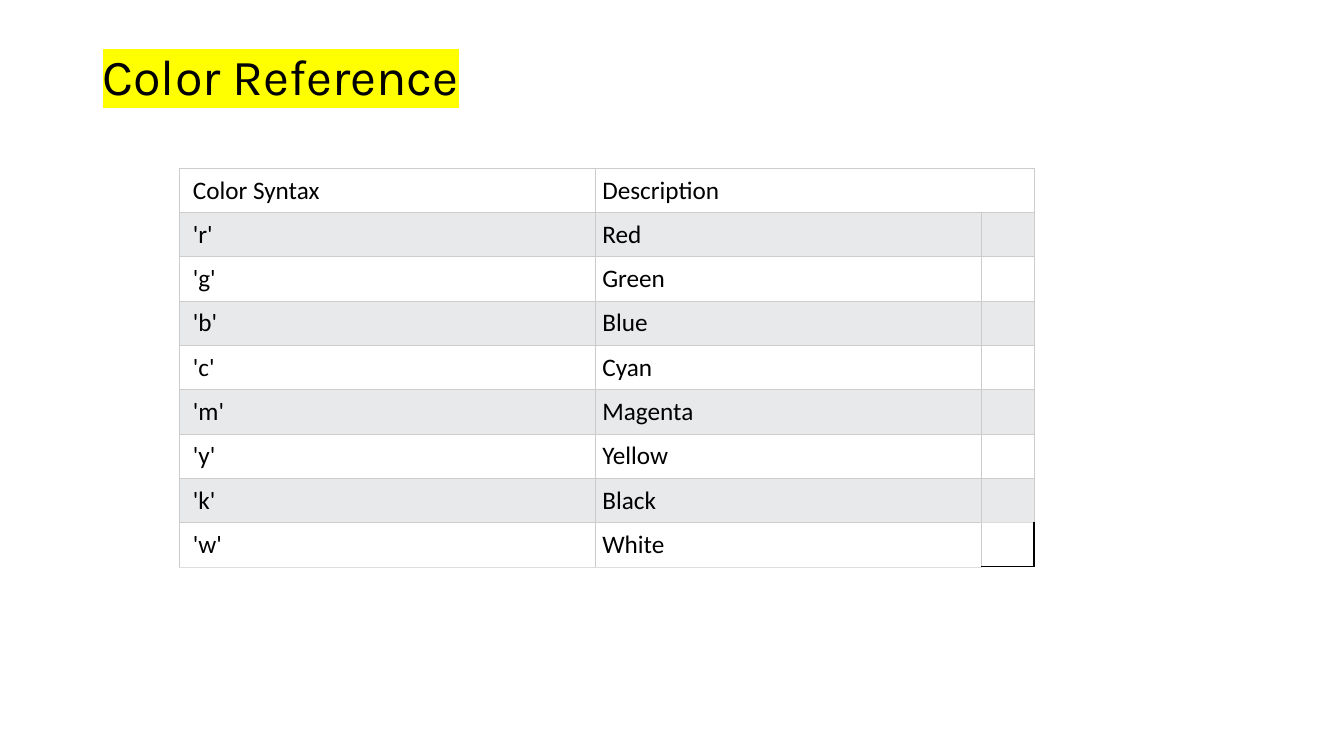
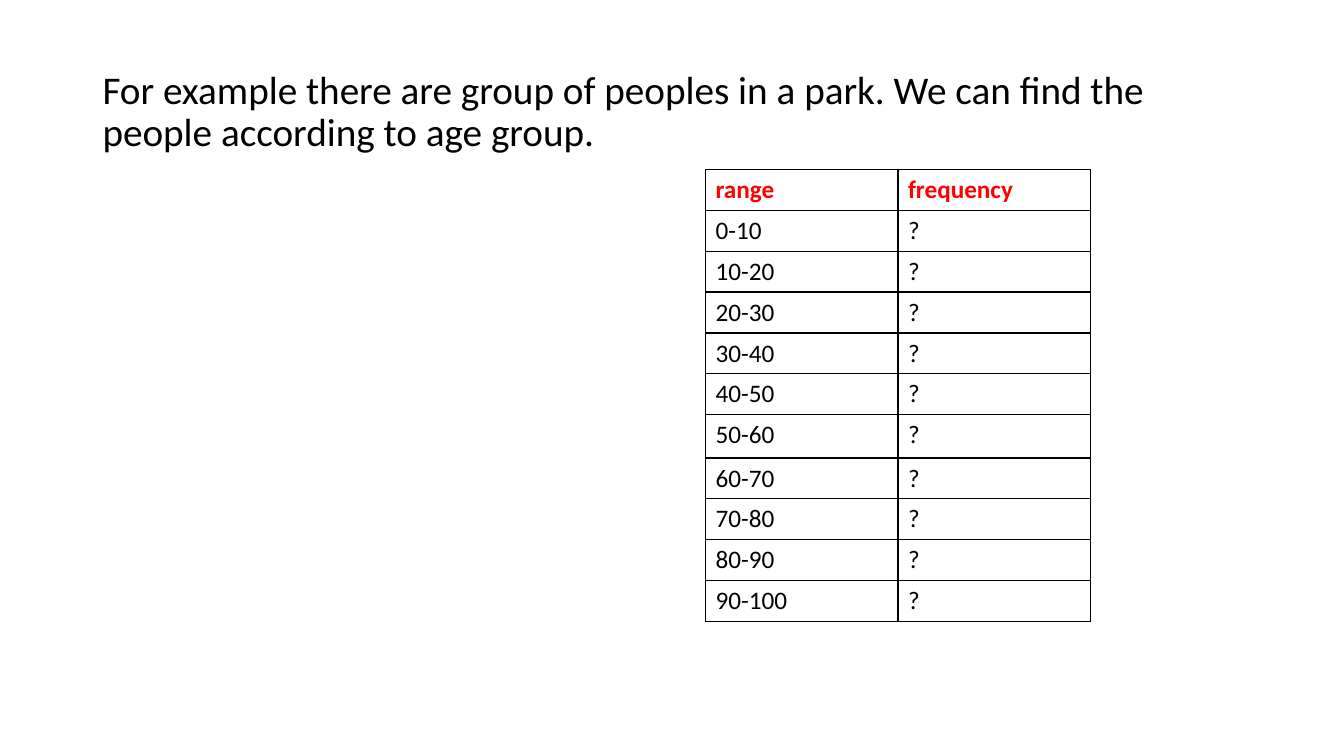
from pptx import Presentation
from pptx.dml.color import RGBColor
from pptx.enum import text
from pptx.oxml.ns import qn
from pptx.util import Cm, Pt
from lxml import etree

COLORS = {"text": "000000", "header": "FF0000", "highlight": "FFFF00", "band": "E7E9EB",
          "plain": "FFFFFF", "rule": "CCCCCC", "last rule": "DDDDDD"}
TITLE_FONT, BODY_FONT = "Karla", "Calibri"
TEXT_LEFT, TEXT_WIDTH = 2.33, 29.21

COLOR_TITLE = "Color Reference"
COLOR_ROWS = [
    ("Color Syntax", "Description", ""),
    ("'r'", "Red", ""),
    ("'g'", "Green", ""),
    ("'b'", "Blue", ""),
    ("'c'", "Cyan", ""),
    ("'m'", "Magenta", ""),
    ("'y'", "Yellow", ""),
    ("'k'", "Black", ""),
    ("'w'", "White", ""),
]
AGE_TEXT = ("For example there are group of peoples in a park. "
            "We can find the people according to age group.")
AGE_ROWS = [("range", "frequency")] + [(f"{age}-{age + 10}", "?") for age in range(0, 100, 10)]


def rgb(name):
    return RGBColor.from_string(COLORS[name])


def format_font(font, size, name=BODY_FONT, color="text", bold=False):
    for key, value in {"size": Pt(size), "name": name, "bold": bold}.items():
        setattr(font, key, value)
    font.color.rgb = rgb(color)


def fill_placeholder(shape, words, top, height, size, font_name):
    """Place a text placeholder, left aligned from the top, and return its run."""
    box = {"left": TEXT_LEFT, "top": top, "width": TEXT_WIDTH, "height": height}
    for key, value in box.items():
        setattr(shape, key, Cm(value))
    frame = shape.text_frame
    frame.vertical_anchor = text.MSO_ANCHOR.TOP
    frame.auto_size = text.MSO_AUTO_SIZE.NONE
    paragraph = frame.paragraphs[0]
    paragraph.alignment = text.PP_ALIGN.LEFT
    paragraph.line_spacing = 0.9
    run = paragraph.add_run()
    run.text = words
    format_font(run.font, size, font_name)
    return run


def highlight(run, color):
    mark = etree.Element(qn("a:highlight"))
    etree.SubElement(mark, qn("a:srgbClr"), val=COLORS[color])
    run.font._element.find(qn("a:solidFill")).addnext(mark)


def remove_bullet(paragraph):
    properties = paragraph._p.get_or_add_pPr()
    properties.set("marL", "0")
    properties.set("indent", "0")
    etree.SubElement(properties, qn("a:buNone"))


def set_borders(cell, borders):
    """Draw cell borders from a dict of side (L, R, T, B) to (colour, points)."""
    properties = cell._tc.get_or_add_tcPr()
    for side in "LRTB":
        color, width = borders[side]
        line = etree.SubElement(properties, qn(f"a:ln{side}"), w=str(Pt(width)))
        fill = etree.SubElement(line, qn("a:solidFill"))
        etree.SubElement(fill, qn("a:srgbClr"), val=COLORS[color])


def add_grid(slide, rows, left, top, widths, heights, style):
    """Add a table; style(row, column) gives fill, borders, margins and font of a cell."""
    frame = slide.shapes.add_table(len(rows), len(widths), Cm(left), Cm(top),
                                   Cm(sum(widths)), Cm(sum(heights)))
    table = frame.table
    table.first_row = table.horz_banding = False
    for column, width in zip(table.columns, widths):
        column.width = Cm(width)
    for row, height in zip(table.rows, heights):
        row.height = Cm(height)
    for r, row in enumerate(rows):
        for c, words in enumerate(row):
            cell = table.cell(r, c)
            look = style(r, c)
            set_borders(cell, look["borders"])
            if look["fill"]:
                cell.fill.solid()
                cell.fill.fore_color.rgb = rgb(look["fill"])
            else:
                cell.fill.background()
            for side, margin in look["margins"].items():
                setattr(cell, f"margin_{side}", Cm(margin))
            cell.text = words
            format_font(cell.text_frame.paragraphs[0].font, 18, **look["font"])
    return table


def color_style(row, column):
    borders = dict.fromkeys("LRTB", ("rule", 0.6))
    fill = "band" if row % 2 else "plain"
    last_row = len(COLOR_ROWS) - 1
    if row == last_row:
        borders["B"] = ("last rule", 0.6)
        if column == 2:
            fill = None
            borders.update(T=("last rule", 0.6), R=("text", 1), B=("text", 1))
    elif row == last_row - 1 and column == 2:
        borders["B"] = ("last rule", 0.6)
    margins = dict.fromkeys(("left", "top", "right", "bottom"), 0.17)
    if column == 0:
        margins["left"] = 0.34
    return {"fill": fill, "borders": borders, "margins": margins, "font": {}}


def age_style(row, column):
    font = {"color": "header", "bold": True} if row == 0 else {}
    return {"fill": None, "borders": dict.fromkeys("LRTB", ("text", 1)),
            "margins": {}, "font": font}


def add_color_slide(presentation):
    slide = presentation.slides.add_slide(presentation.slide_layouts[5])
    run = fill_placeholder(slide.shapes.title, COLOR_TITLE, 1.18, 3.5, 36, TITLE_FONT)
    highlight(run, "highlight")
    table = add_grid(slide, COLOR_ROWS, 4.52, 4.24, (10.49, 9.73, 1.32),
                     [1.11] * len(COLOR_ROWS), color_style)
    table.cell(0, 1).merge(table.cell(0, 2))


def add_age_slide(presentation):
    slide = presentation.slides.add_slide(presentation.slide_layouts[1])
    title = slide.shapes.title._element
    title.getparent().remove(title)
    body = slide.placeholders[1]
    fill_placeholder(body, AGE_TEXT, 1.65, 15.52, 28, BODY_FONT)
    paragraph = body.text_frame.paragraphs[0]
    paragraph.space_before = Pt(10)
    remove_bullet(paragraph)
    heights = [1.03] * len(AGE_ROWS)
    heights[6] = 1.09
    add_grid(slide, AGE_ROWS, 17.78, 4.27, (4.85, 4.85), heights, age_style)


def main():
    presentation = Presentation()
    presentation.slide_width, presentation.slide_height = Cm(33.87), Cm(19.05)
    add_color_slide(presentation)
    add_age_slide(presentation)
    presentation.save("out.pptx")


if __name__ == "__main__":
    main()
